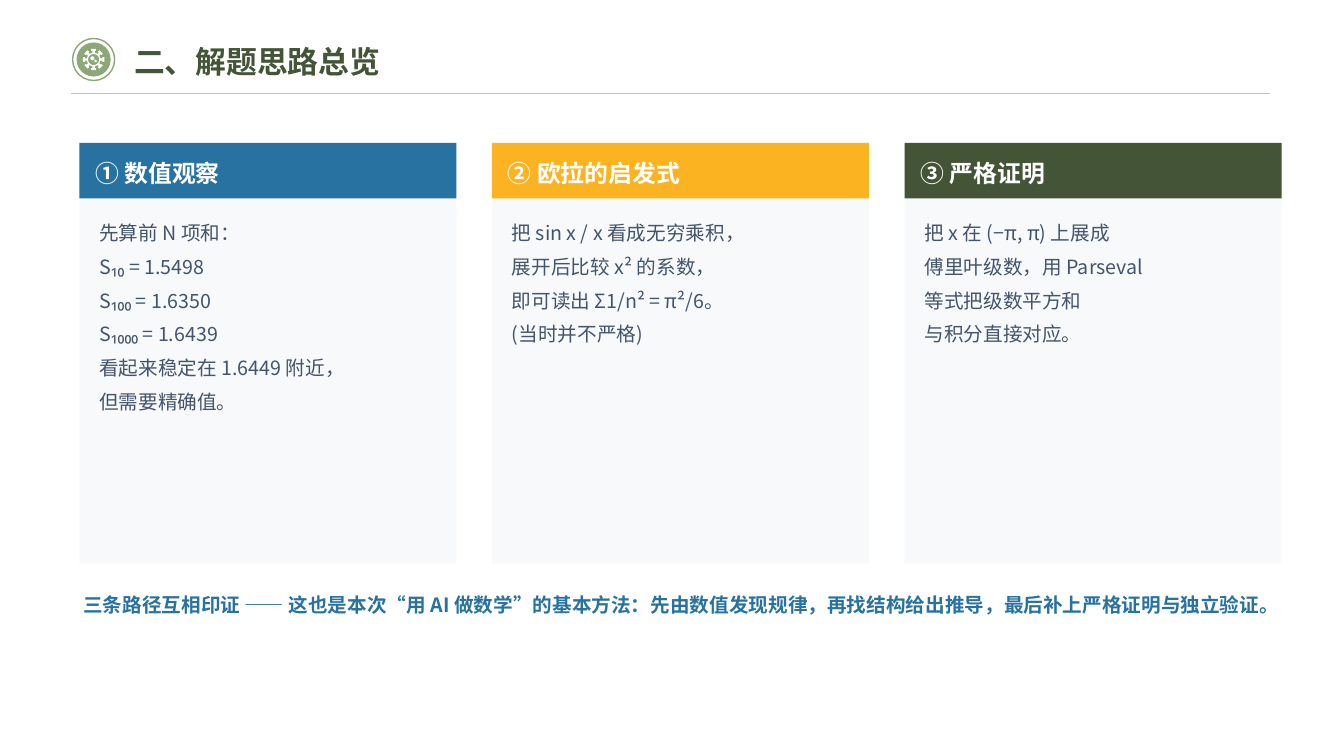
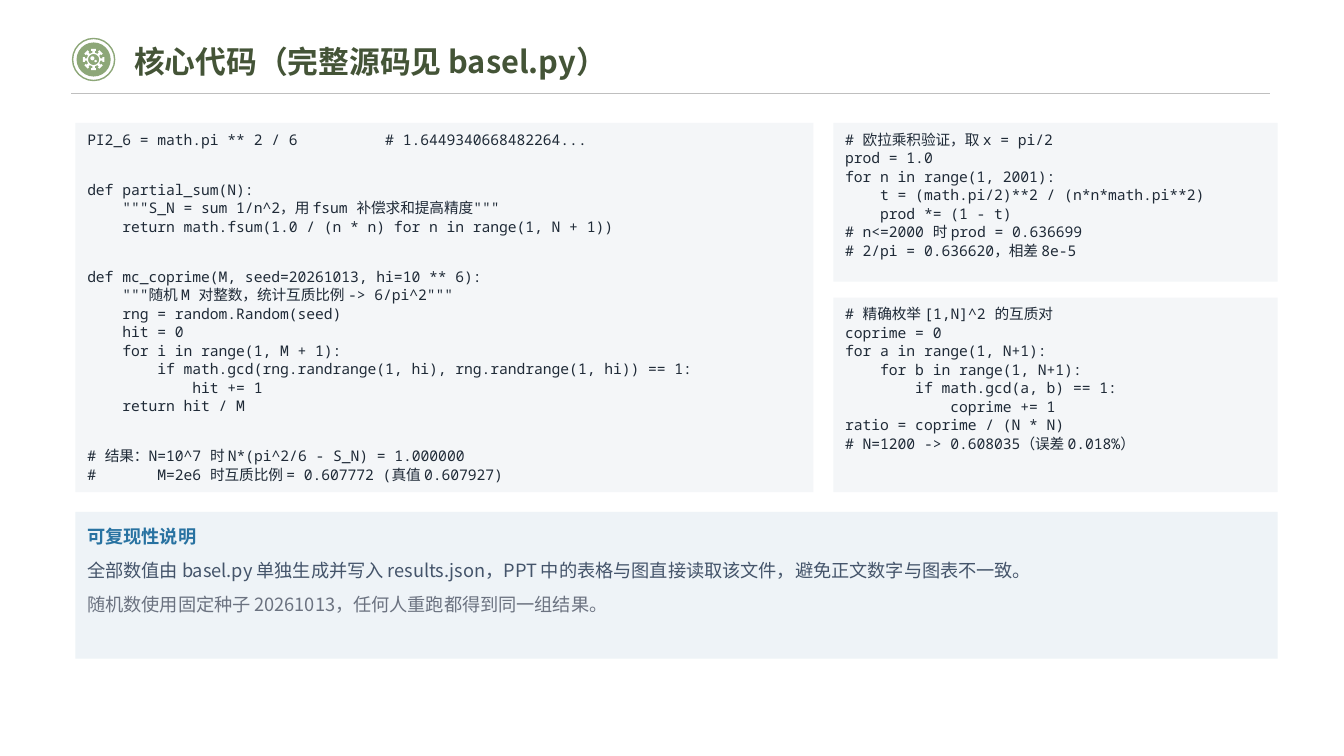
import math

from lxml import etree
from pptx import Presentation
from pptx import util as u
from pptx.dml.color import RGBColor
from pptx.enum import shapes, text
from pptx.oxml.ns import qn

COLORS = {
    "green": "445437", "sage": "8DA778", "blue": "2872A1", "amber": "FCB322",
    "white": "FFFFFF", "rule": "BFBFBF", "body": "44546A", "muted": "6B7280",
    "code": "1F2A37", "card": "F7F9FB", "code_bg": "F4F6F8", "note_bg": "EEF3F7",
}
SANS, MONO = "Noto Sans CJK SC", "Noto Sans Mono"
CODE_GAP = 22.5  # points between blocks of code


def rgb(name):
    return RGBColor.from_string(COLORS[name])


def style(p, size, color, bold=False, name=SANS, spacing=None, before=0, after=0):
    p.alignment = text.PP_ALIGN.LEFT
    if spacing:
        p.line_spacing = spacing
    if before:
        p.space_before = u.Pt(before)
    p.space_after = u.Pt(after)
    f = p.font
    f.size, f.bold, f.name = u.Pt(size), bold, name
    f.color.rgb = rgb(color)
    latin = p._p.pPr.find(qn("a:defRPr")).find(qn("a:latin"))
    ea = etree.Element(qn("a:ea"), typeface=SANS)
    latin.addnext(ea)


def write(sp, lines, left=0.3, top=0.17, anchor=text.MSO_ANCHOR.TOP):
    """Fill a shape with (text, style) pairs, one paragraph each."""
    tf = sp.text_frame
    tf.word_wrap, tf.auto_size = True, text.MSO_AUTO_SIZE.NONE
    tf.vertical_anchor = anchor
    tf.margin_left, tf.margin_right = u.Cm(left), u.Cm(0.1)
    tf.margin_top = tf.margin_bottom = u.Cm(top)
    for i, (line, look) in enumerate(lines):
        p = tf.add_paragraph() if i else tf.paragraphs[0]
        p.text = line
        style(p, **look)


def add_shape(s, box, fill=None, line=None, kind=shapes.MSO_SHAPE.RECTANGLE):
    sp = s.shapes.add_shape(kind, *map(u.Cm, box))
    sp.shadow.inherit = False
    if fill:
        sp.fill.solid()
        sp.fill.fore_color.rgb = rgb(fill)
    else:
        sp.fill.background()
    if line:
        sp.line.color.rgb, sp.line.width = rgb(line), u.Pt(1)
    else:
        sp.line.fill.background()
    return sp


def add_disc(s, cx, cy, r, **paint):
    return add_shape(s, (cx - r, cy - r, 2 * r, 2 * r),
                     kind=shapes.MSO_SHAPE.OVAL, **paint)


def gear_outline(teeth=8):
    tooth = [(170, -30), (220, -30), (220, -60), (270, -60),
             (270, 60), (220, 60), (220, 30), (170, 30)]
    points = []
    for i in range(teeth):
        c, n = math.cos(math.tau * i / teeth), math.sin(math.tau * i / teeth)
        points += [(x * c - y * n, x * n + y * c) for x, y in tooth]
    return points


def circle_points(cx, cy, r, count=32):
    angles = [math.tau * i / count for i in range(count)]
    return [(cx + r * math.cos(a), cy + r * math.sin(a)) for a in angles]


def add_gear(s, cx, cy):
    """Toothed ring with two dots in its hole, drawn in thousandths of a cm."""
    outline = gear_outline()
    fb = s.shapes.build_freeform(*outline[0], scale=u.Cm(0.001))
    fb.add_line_segments(outline[1:])
    for hole in ((0, 0, 140), (-30, -30, 50), (50, 40, 30)):
        points = circle_points(*hole)
        fb.move_to(*points[0])
        fb.add_line_segments(points[1:])
    sp = fb.convert_to_shape(u.Cm(cx), u.Cm(cy))
    sp.shadow.inherit = False
    sp.fill.solid()
    sp.fill.fore_color.rgb = rgb("white")
    sp.line.fill.background()


def add_titled_slide(prs, title):
    s = prs.slides.add_slide(prs.slide_layouts[5])
    cx, cy = 2.36, 1.5
    add_disc(s, cx, cy, 0.53, line="sage")
    add_disc(s, cx, cy, 0.43, fill="sage")
    add_gear(s, cx, cy)
    rule = s.shapes.add_connector(shapes.MSO_CONNECTOR.STRAIGHT,
                                  u.Cm(1.8), u.Cm(2.36), u.Cm(32), u.Cm(2.36))
    rule.line.color.rgb, rule.line.width = rgb("rule"), u.Pt(0.5)
    etree.SubElement(rule._element.spPr, qn("a:effectLst"))
    ph = s.shapes.title
    ph.left, ph.top, ph.width, ph.height = map(u.Cm, (3.38, 0.97, 24.8, 1.12))
    write(ph, [(title, dict(size=22, color="green", bold=True))],
          left=0, top=0.13, anchor=text.MSO_ANCHOR.MIDDLE)
    return s


def add_card(s, box, color, heading, lines):
    x, y, w, _ = box
    body = dict(size=14, color="body", spacing=1.2, after=4)
    write(add_shape(s, box, "card"), [(line, body) for line in lines],
          left=0.5, top=1.85)
    head = dict(size=17, color="white", bold=True, spacing=1.15)
    write(add_shape(s, (x, y, w, 1.4), color), [(heading, head)],
          left=0.4, top=0.15, anchor=text.MSO_ANCHOR.MIDDLE)


def add_code(s, box, *blocks):
    """Code panel; each block of lines after the first is set off by a gap."""
    lines = []
    for b, block in enumerate(blocks):
        for i, line in enumerate(block.strip("\n").split("\n")):
            gap = CODE_GAP if b and not i else 0
            lines.append((line, dict(size=10.5, color="code", name=MONO,
                                     spacing=1.05, before=gap)))
    write(add_shape(s, box, "code_bg"), lines)


def overview_slide(prs):
    s = add_titled_slide(prs, "二、解题思路总览")
    cards = [
        ("blue", "① 数值观察",
         ["先算前 N 项和：", "S₁₀ = 1.5498", "S₁₀₀ = 1.6350", "S₁₀₀₀ = 1.6439",
          "看起来稳定在 1.6449 附近，", "但需要精确值。"]),
        ("amber", "② 欧拉的启发式",
         ["把 sin x / x 看成无穷乘积，", "展开后比较 x² 的系数，",
          "即可读出 Σ1/n² = π²/6。", "(当时并不严格)"]),
        ("green", "③ 严格证明",
         ["把 x 在 (−π, π) 上展成", "傅里叶级数，用 Parseval",
          "等式把级数平方和", "与积分直接对应。"]),
    ]
    left, top, width, height, gap = 2, 3.6, 9.5, 10.6, 0.9
    for i, card in enumerate(cards):
        add_card(s, (left + i * (width + gap), top, width, height), *card)
    summary = s.shapes.add_textbox(*map(u.Cm, (left, 14.8, 30, 1.8)))
    write(summary, [("三条路径互相印证 —— 这也是本次“用 AI 做数学”的基本方法："
                     "先由数值发现规律，再找结构给出推导，最后补上严格证明与独立验证。",
                     dict(size=14, color="blue", bold=True, spacing=1.15))],
          left=0.1, top=0.05)


def code_slide(prs):
    s = add_titled_slide(prs, "核心代码（完整源码见 basel.py）")
    left, top, width, height = 1.9, 3.1, 30.3, 9.3
    main_w, euler_h, gap, row_gap = 18.6, 4, 0.5, 0.4
    side_x, side_w = left + main_w + gap, width - main_w - gap
    add_code(s, (left, top, main_w, height), """
PI2_6 = math.pi ** 2 / 6          # 1.6449340668482264...
""", '''
def partial_sum(N):
    """S_N = sum 1/n^2，用 fsum 补偿求和提高精度"""
    return math.fsum(1.0 / (n * n) for n in range(1, N + 1))
''', '''
def mc_coprime(M, seed=20261013, hi=10 ** 6):
    """随机 M 对整数，统计互质比例 -> 6/pi^2"""
    rng = random.Random(seed)
    hit = 0
    for i in range(1, M + 1):
        if math.gcd(rng.randrange(1, hi), rng.randrange(1, hi)) == 1:
            hit += 1
    return hit / M
''', """
# 结果：N=10^7 时 N*(pi^2/6 - S_N) = 1.000000
#       M=2e6 时互质比例 = 0.607772 (真值 0.607927)
""")
    add_code(s, (side_x, top, side_w, euler_h), """
# 欧拉乘积验证，取 x = pi/2
prod = 1.0
for n in range(1, 2001):
    t = (math.pi/2)**2 / (n*n*math.pi**2)
    prod *= (1 - t)
# n<=2000 时 prod = 0.636699
# 2/pi = 0.636620，相差 8e-5
""")
    add_code(s, (side_x, top + euler_h + row_gap, side_w,
                 height - euler_h - row_gap), """
# 精确枚举 [1,N]^2 的互质对
coprime = 0
for a in range(1, N+1):
    for b in range(1, N+1):
        if math.gcd(a, b) == 1:
            coprime += 1
ratio = coprime / (N * N)
# N=1200 -> 0.608035（误差 0.018%）
""")
    note = dict(size=13, spacing=1.3, after=4)
    write(add_shape(s, (left, top + height + gap, width, 3.7), "note_bg"), [
        ("可复现性说明", dict(note, color="blue", bold=True)),
        ("全部数值由 basel.py 单独生成并写入 results.json，PPT 中的表格与图直接读取该文件，"
         "避免正文数字与图表不一致。", dict(note, color="body")),
        ("随机数使用固定种子 20261013，任何人重跑都得到同一组结果。",
         dict(note, color="muted")),
    ])


def main():
    prs = Presentation()
    prs.slide_width, prs.slide_height = u.Cm(33.87), u.Cm(19.05)
    overview_slide(prs)
    code_slide(prs)
    prs.save("out.pptx")


if __name__ == "__main__":
    main()
